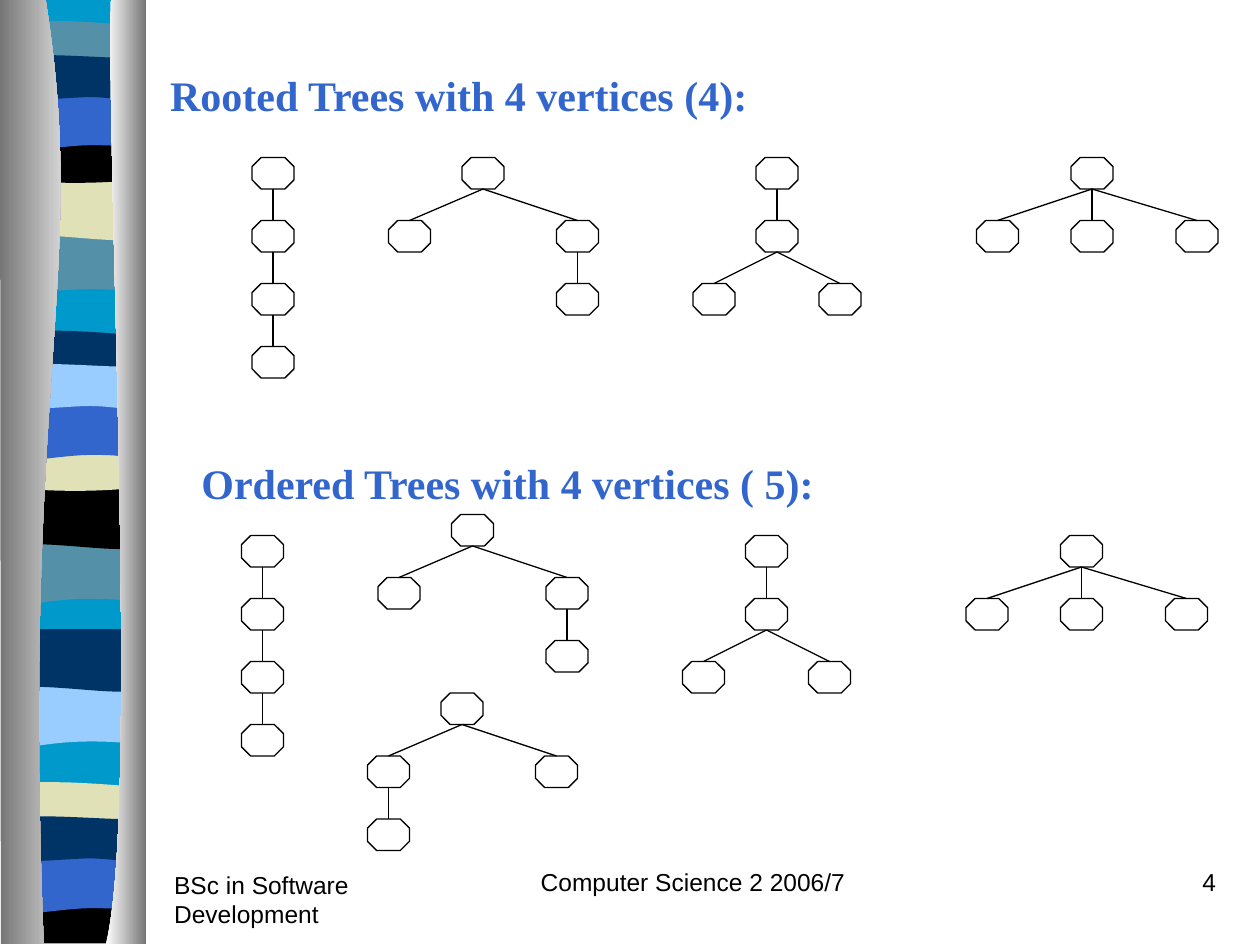
"""Build a slide comparing rooted and ordered trees with four vertices."""

from dataclasses import dataclass
from typing import Any

from lxml import etree
from pptx import Presentation
from pptx import util as u
from pptx.dml import color
from pptx.enum import shapes, text
from pptx.oxml import ns

COLOURS = {
    "black": "000000",
    "navy": "003366",
    "blue": "3366CC",
    "sky": "99CCFF",
    "cyan": "0099CC",
    "teal": "5490A8",
    "sand": "E1E1B7",
    "grey": "767676",
    "white": "FFFFFF",
}
HEADING = {"size": u.Pt(24), "name": "Times New Roman", "bold": True}
FOOTER = {"size": u.Pt(14), "name": "Arial", "bold": False}
NODE_WIDTH, NODE_HEIGHT, LEVEL_PITCH = 24, 18, 36
RIBBON_LEFT, TOP, BOTTOM = 4, -0.5, 539.5

Point = tuple[float, float]
Segment = list[Point]


@dataclass(frozen=True)
class Band:
    """A ribbon piece with its outline form, colour and level."""

    form: str
    colour: str
    top: float


@dataclass(frozen=True)
class Node:
    """A vertex offset from the root, with the index of its parent."""

    offset: float
    level: int
    parent: int | None


@dataclass(frozen=True)
class Tree:
    """A tree form placed by the top centre of its root."""

    form: str
    centre: float
    top: float


@dataclass(frozen=True)
class Label:
    """A line of text with its frame and alignment."""

    words: str
    left: float
    top: float
    width: float
    colour: str
    style: dict[str, Any]
    align: text.PP_ALIGN = text.PP_ALIGN.LEFT


OUTLINES: dict[str, list[Segment]] = {
    "block": [[(78, 0)], [(78, 538.5)], [(0, 538.5)], [(0, 0)]],
    "roll": [[(78, 0)], [(78, 34)], [(24, 28), (13, 39.5), (0, 34)], [(0, 0)]],
    "swell": [[(78, 0)], [(78, 34)], [(65, 39.5), (24, 30), (0, 34)], [(0, 0)]],
    "crest": [[(78, 0)], [(78, 17.5)], [(65, 20.5), (13, 20.5), (0, 17.5)], [(0, 0)],
              [(4.5, -3.5), (17, -3), (29.5, -3)], [(42.5, -3), (68, -1), (78, 0)]],
    "sag": [[(78, 0)], [(78, 23.5)], [(65, 27.5), (13, 27.5), (0, 23.5)], [(0, 0)],
            [(47.5, 3.5), (61, 0), (78, 0)]],
    "arch": [[(78, 0)], [(78, 34)], [(66, 30), (60.5, 30), (47.5, 30)],
             [(34.5, 30), (11.5, 34), (0, 34)], [(0, 0)]],
    "rise": [[(78, 0)], [(78, 22.5)], [(73, 26), (60.5, 22.5), (47.5, 22.5)],
             [(34.5, 22.5), (8, 26), (0, 22.5)], [(0, 0)],
             [(11, -3.5), (52.5, 0), (65.5, 0)], [(78.5, 0), (75, 0), (78, 0)]],
    "foot": [[(78, 0)], [(78, 26.5)], [(0, 26.5)], [(0, 0)], [(47.5, 3.5), (61, 0), (78, 0)]],
}
BANDS = [
    Band("block", "cyan", TOP),
    Band("roll", "teal", 133), Band("swell", "sand", 101.5), Band("crest", "teal", 15),
    Band("sag", "black", 78), Band("arch", "blue", 53), Band("rise", "navy", 33),
    Band("roll", "teal", 310), Band("swell", "black", 278), Band("crest", "navy", 192),
    Band("sag", "sand", 254), Band("arch", "blue", 230), Band("rise", "sky", 209.5),
    Band("roll", "sky", 391.5), Band("swell", "navy", 359.5), Band("crest", "sand", 450),
    Band("foot", "black", 512.5), Band("arch", "blue", 489), Band("rise", "navy", 468),
]
PILLARS: list[tuple[list[Segment], tuple[str, str]]] = [
    ([[(26, TOP)], [(51, 156), (12, 213), (25, BOTTOM)], [(0.5, BOTTOM)], [(0, TOP)]],
     ("grey", "white")),
    ([[(63.5, TOP)], [(60.5, 90), (80, 465), (60.5, BOTTOM)], [(83.5, BOTTOM)], [(83.5, 0)]],
     ("white", "grey")),
]
FORMS = {
    "chain": [Node(0, 0, None), Node(0, 1, 0), Node(0, 2, 1), Node(0, 3, 2)],
    "right": [Node(0, 0, None), Node(-42, 1, 0), Node(54, 1, 0), Node(54, 2, 2)],
    "left": [Node(0, 0, None), Node(-42, 1, 0), Node(54, 1, 0), Node(-42, 2, 1)],
    "fork": [Node(0, 0, None), Node(0, 1, 0), Node(-36, 2, 1), Node(36, 2, 1)],
    "star": [Node(0, 0, None), Node(-54, 1, 0), Node(0, 1, 0), Node(60, 1, 0)],
}
TREES = [
    Tree("chain", 156, 90), Tree("right", 276, 90), Tree("fork", 444, 90), Tree("star", 624, 90),
    Tree("chain", 150, 306), Tree("right", 270, 294), Tree("fork", 438, 306), Tree("star", 618, 306),
    Tree("left", 264, 396),
]
TITLE = Label("Rooted Trees with 4 vertices (4):", 90, 36, 594, "blue", HEADING)
LABELS = [
    Label("Ordered Trees with 4 vertices ( 5):", 108, 258, 588, "blue", HEADING),
    Label("BSc in Software Development", 92.4, 493.5, 150, "black", FOOTER),
    Label("Computer Science 2 2006/7", 282, 492, 228, "black", FOOTER, text.PP_ALIGN.CENTER),
    Label("4", 552, 492, 150, "black", FOOTER, text.PP_ALIGN.RIGHT),
]


def rgb(name: str) -> color.RGBColor:
    """Return the named colour."""
    return color.RGBColor.from_string(COLOURS[name])


def draw_outline(slide: Any, segments: list[Segment], left: float = 0, top: float = 0) -> Any:
    """Draw a closed outline whose three-point segments are cubic curves."""
    points = [(u.Pt(left + x), u.Pt(top + y)) for segment in segments for x, y in segment]
    builder = slide.shapes.build_freeform(*points[0])
    builder.add_line_segments(points[1:], close=True)
    shape = builder.convert_to_shape()
    shape.shadow.inherit = False
    shape.line.fill.background()
    lines = iter(list(shape._element.iter(ns.qn("a:lnTo"))))
    for segment in segments[1:]:
        steps = [next(lines) for _ in segment]
        if len(steps) == 3:
            curve = etree.Element(ns.qn("a:cubicBezTo"))
            steps[0].addprevious(curve)
            for step in steps:
                curve.append(step[0])
                step.getparent().remove(step)
    return shape


def draw_ribbon(slide: Any) -> None:
    """Draw the coloured bands and the two shaded pillars beside them."""
    for band in BANDS:
        shape = draw_outline(slide, OUTLINES[band.form], RIBBON_LEFT, band.top)
        shape.fill.solid()
        shape.fill.fore_color.rgb = rgb(band.colour)
    for segments, shades in PILLARS:
        shape = draw_outline(slide, segments)
        shape.fill.gradient()
        shape.fill.gradient_angle = 0
        for stop, shade in zip(shape.fill.gradient_stops, shades):
            stop.color.rgb = rgb(shade)


def set_line(shape: Any) -> None:
    """Give a shape or connector the thin black line."""
    shape.line.color.rgb = rgb("black")
    shape.line.width = u.Pt(0.75)


def draw_tree(slide: Any, tree: Tree) -> None:
    """Draw the vertices and edges of one tree."""
    nodes = FORMS[tree.form]
    places = [(tree.centre + node.offset, tree.top + node.level * LEVEL_PITCH) for node in nodes]
    for node, (x, y) in zip(nodes, places):
        if node.parent is not None:
            parent_x, parent_y = places[node.parent]
            ends = (parent_x, parent_y + NODE_HEIGHT, x, y)
            edge = slide.shapes.add_connector(shapes.MSO_CONNECTOR.STRAIGHT, *map(u.Pt, ends))
            set_line(edge)
            etree.SubElement(edge._element.spPr, ns.qn("a:effectLst"))
        frame = (x - NODE_WIDTH / 2, y, NODE_WIDTH, NODE_HEIGHT)
        vertex = slide.shapes.add_shape(shapes.MSO_SHAPE.OCTAGON, *map(u.Pt, frame))
        vertex.adjustments[0] = 0.29
        vertex.shadow.inherit = False
        vertex.fill.background()
        set_line(vertex)


def write_label(shape: Any, label: Label) -> None:
    """Place a text shape and write its formatted words."""
    place = {"left": label.left, "top": label.top, "width": label.width, "height": 36}
    for name, value in place.items():
        setattr(shape, name, u.Pt(value))
    frame = shape.text_frame
    layout = {"word_wrap": True, "auto_size": text.MSO_AUTO_SIZE.NONE,
              "vertical_anchor": text.MSO_ANCHOR.TOP}
    for name, value in layout.items():
        setattr(frame, name, value)
    paragraph = frame.paragraphs[0]
    paragraph.text = label.words
    paragraph.alignment = label.align
    for name, value in label.style.items():
        setattr(paragraph.font, name, value)
    paragraph.font.color.rgb = rgb(label.colour)


def main() -> None:
    """Build and save the presentation."""
    presentation = Presentation()
    presentation.slide_width, presentation.slide_height = u.Pt(720), u.Pt(540)
    slide = presentation.slides.add_slide(presentation.slide_layouts[5])
    draw_ribbon(slide)
    write_label(slide.shapes.title, TITLE)
    for label in LABELS:
        write_label(slide.shapes.add_textbox(0, 0, 0, 0), label)
    for tree in TREES:
        draw_tree(slide, tree)
    presentation.save("out.pptx")


if __name__ == "__main__":
    main()
